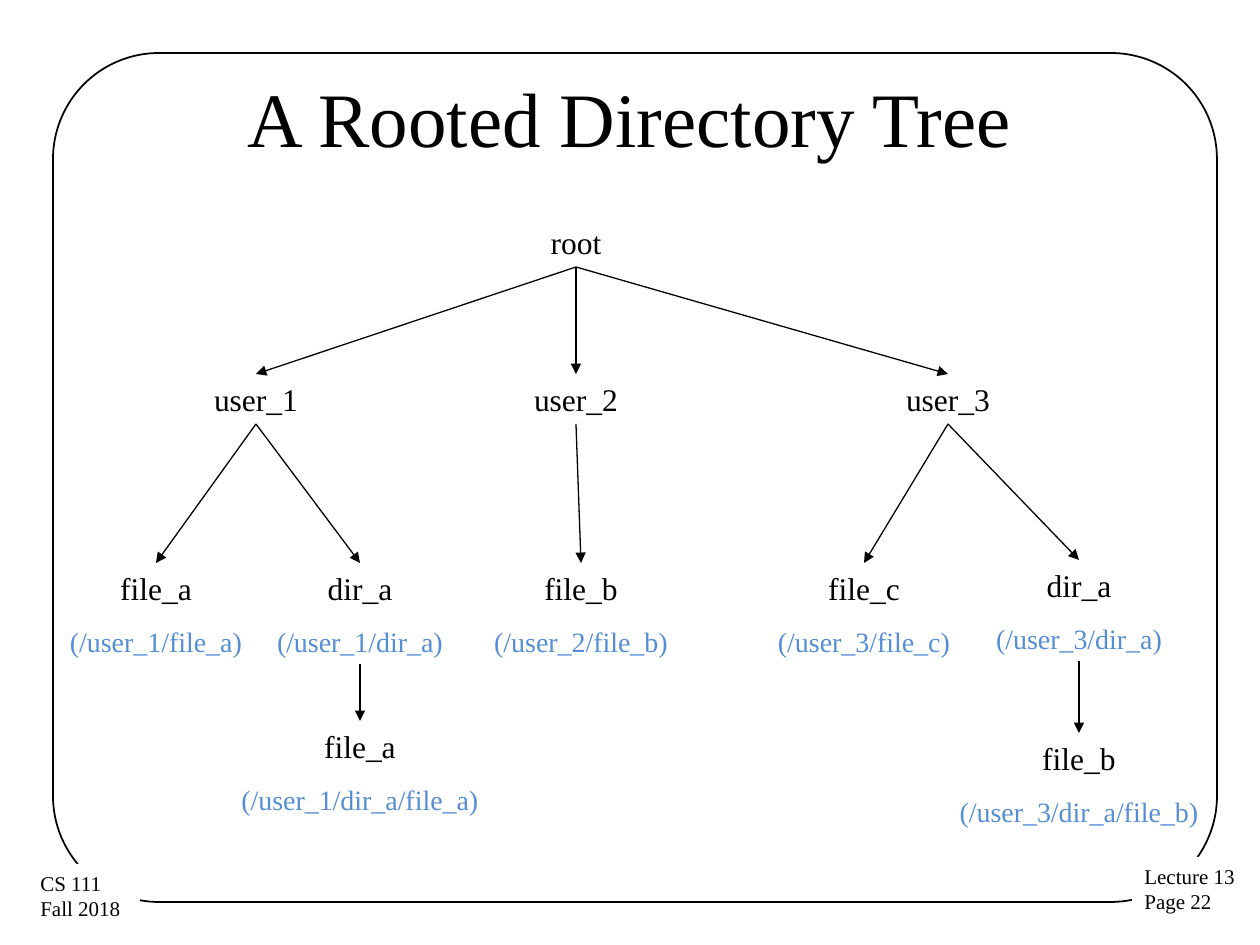
from dataclasses import dataclass

from lxml.etree import SubElement
from pptx import Presentation
from pptx.dml.color import RGBColor
from pptx.enum.shapes import MSO_CONNECTOR as Connector, MSO_SHAPE as Preset
from pptx.enum.text import MSO_ANCHOR as Anchor, PP_ALIGN as Align
from pptx.oxml.ns import qn
from pptx.util import Emu, Pt


@dataclass(frozen=True)
class Theme:
    font: str = "Times New Roman"
    ink: RGBColor = RGBColor(0x00, 0x00, 0x00)
    paper: RGBColor = RGBColor(0xFF, 0xFF, 0xFF)
    route: RGBColor = RGBColor(0x55, 0x8E, 0xD5)
    title_size: int = 44
    name_size: int = 18
    route_size: int = 16
    footer_size: int = 12


theme = Theme()
SCALE = 914400 / 126


def px(*lengths):
    return [Emu(round(length * SCALE)) for length in lengths]


def style(para, size, color, align):
    para.alignment = align
    for span in para.runs:
        span.font.name = theme.font
        span.font.size = Pt(size)
        span.font.color.rgb = color


deck = Presentation()
deck.slide_width, deck.slide_height = px(1260, 945)
page = deck.slides.add_slide(deck.slide_layouts[5])

# Rounded frame
frame = page.shapes.add_shape(Preset.ROUNDED_RECTANGLE, *px(53, 53, 1164, 849))
frame.adjustments[0] = 0.125
frame.shadow.inherit = False
frame.fill.background()
frame.line.color.rgb = theme.ink
frame.line.width = Pt(1)

# Footer labels, covering the frame's lower corners
footers = [
    ("Lecture 13\nPage 22", 1132, 857, 117),
    ("CS 111\nFall 2018", 28, 864, 112),
]
for text, left, top, width in footers:
    box = page.shapes.add_textbox(*px(left, top, width, 64))
    box.fill.solid()
    box.fill.fore_color.rgb = theme.paper
    box.text_frame.word_wrap = True
    box.text_frame.text = text
    for para in box.text_frame.paragraphs:
        style(para, theme.footer_size, theme.ink, Align.LEFT)

# Title
title = page.shapes.title
title.left, title.top, title.width, title.height = px(63, 38, 1134, 158)
title.text_frame.text = "A Rooted Directory Tree"
title.text_frame.vertical_anchor = Anchor.MIDDLE
style(title.text_frame.paragraphs[0], theme.title_size, theme.ink, Align.CENTER)

# Tree nodes: full route -> centre, top, width
nodes = {
    "": (576, 217, 116),
    "/user_1": (256, 374, 147),
    "/user_2": (576, 374, 147),
    "/user_3": (948, 374, 147),
    "/user_1/file_a": (156, 563, 262),
    "/user_1/dir_a": (360, 563, 210),
    "/user_2/file_b": (581, 563, 231),
    "/user_3/file_c": (864, 563, 231),
    "/user_3/dir_a": (1079, 560, 221),
    "/user_1/dir_a/file_a": (360, 721, 378),
    "/user_3/dir_a/file_b": (1079, 733, 305),
}
bottoms = {}
for route, (center, top, width) in nodes.items():
    parent, _, name = route.rpartition("/")
    has_route = parent != ""
    height = 101 if has_route else 50
    bottoms[route] = top + height

    box = page.shapes.add_textbox(*px(center - width / 2, top, width, height))
    box.text_frame.word_wrap = True
    box.text_frame.text = name or "root"
    style(box.text_frame.paragraphs[0], theme.name_size, theme.ink, Align.CENTER)
    if has_route:
        para = box.text_frame.add_paragraph()
        para.text = f"({route})"
        para.space_before = Pt(10)
        style(para, theme.route_size, theme.route, Align.CENTER)

    # Arrow from the parent's bottom to this node's top
    if route:
        arrow = page.shapes.add_connector(
            Connector.STRAIGHT, *px(nodes[parent][0], bottoms[parent], center, top))
        arrow.line.color.rgb = theme.ink
        arrow.line.width = Pt(0.75)
        SubElement(arrow.line._get_or_add_ln(), qn("a:tailEnd"), type="triangle")
        SubElement(arrow._element.spPr, qn("a:effectLst"))

deck.save("out.pptx")
